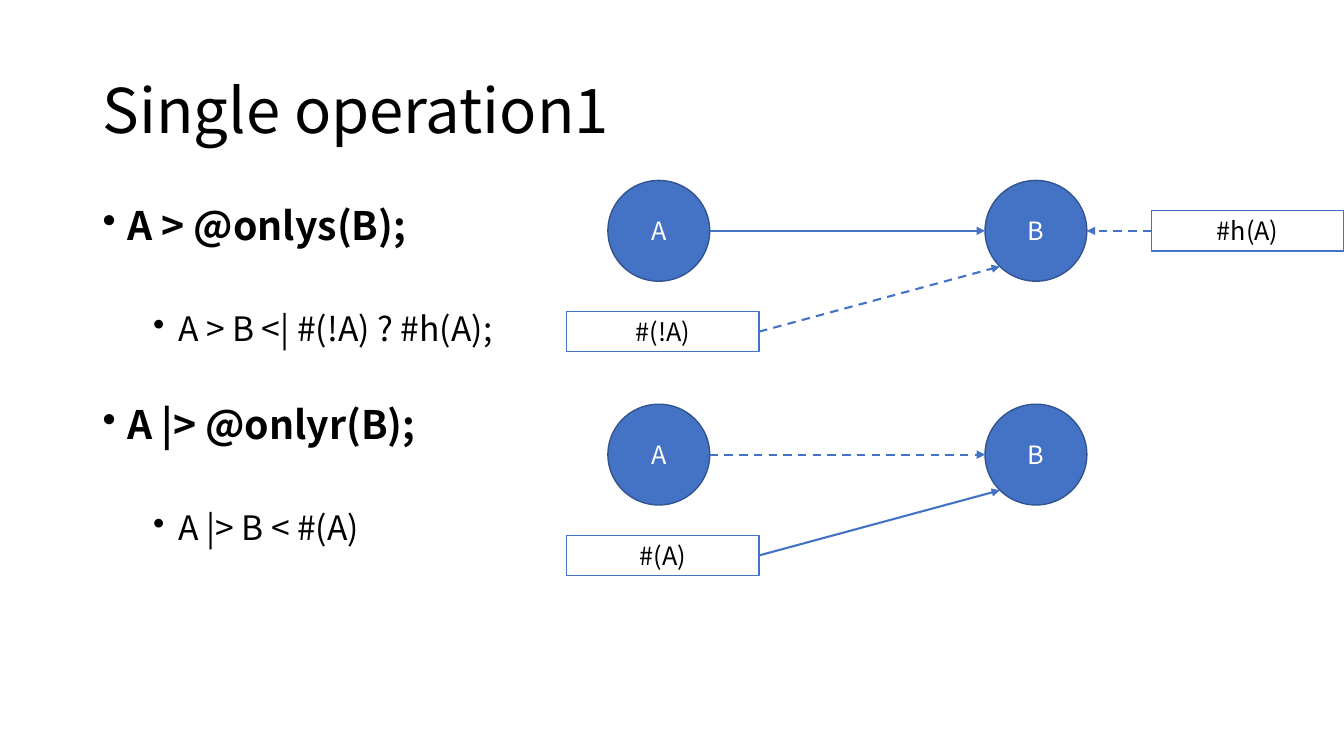
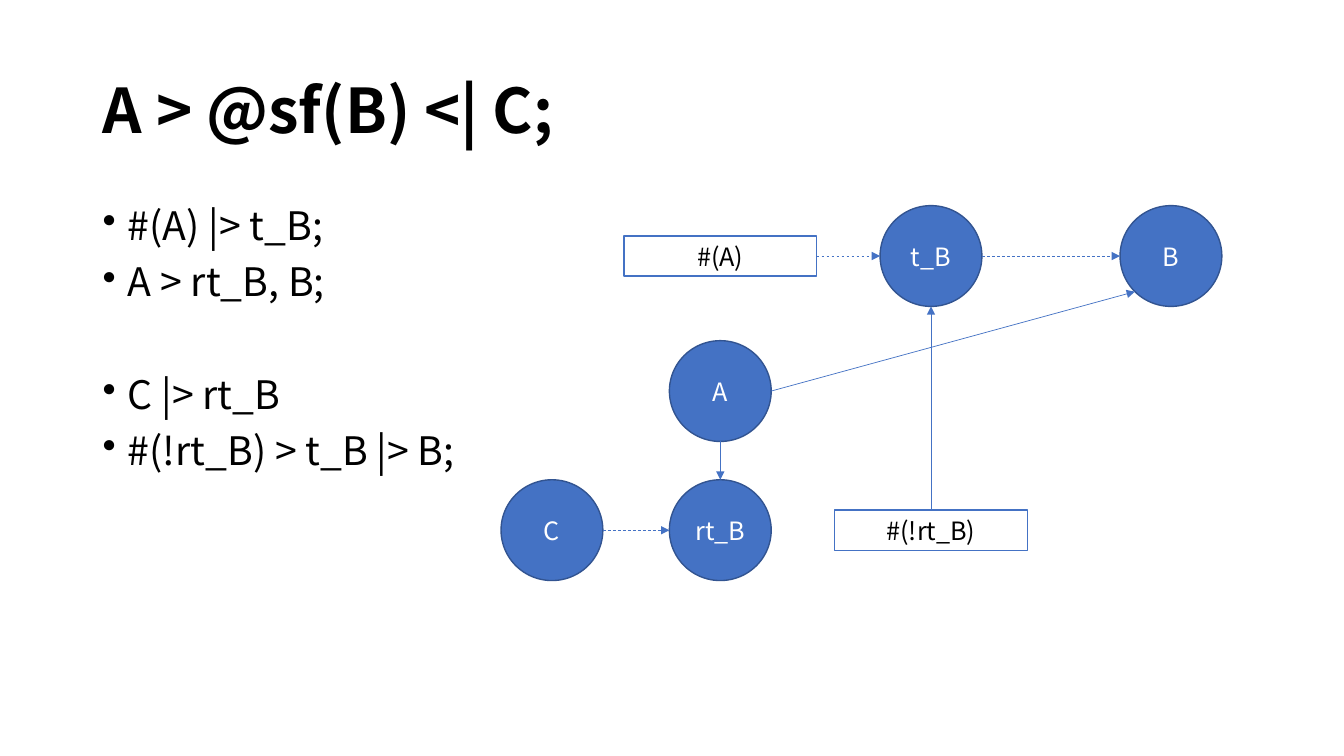
from dataclasses import dataclass

from lxml import etree
from pptx import Presentation
from pptx.dml.color import RGBColor
from pptx.enum.dml import MSO_LINE
from pptx.enum.shapes import MSO_CONNECTOR, MSO_SHAPE
from pptx.enum.text import MSO_ANCHOR, PP_ALIGN
from pptx.oxml.ns import qn
from pptx.util import Inches, Pt

DASH = MSO_LINE.DASH
STRAIGHT = MSO_CONNECTOR.STRAIGHT
ELLIPSE, RECTANGLE = MSO_SHAPE.OVAL, MSO_SHAPE.RECTANGLE
MIDDLE, TOP = MSO_ANCHOR.MIDDLE, MSO_ANCHOR.TOP
LEFT, CENTER = PP_ALIGN.LEFT, PP_ALIGN.CENTER


@dataclass(frozen=True)
class Theme:
    font: str = "Noto Sans CJK KR"
    text: RGBColor = RGBColor(0x00, 0x00, 0x00)
    paper: RGBColor = RGBColor(0xFF, 0xFF, 0xFF)
    accent: RGBColor = RGBColor(0x44, 0x72, 0xC4)
    node_edge: RGBColor = RGBColor(0x32, 0x54, 0x91)
    title_size: int = 44
    body_sizes: tuple = (28, 24)
    node_size: int = 18
    line_spacing: float = 0.9


@dataclass(frozen=True)
class Box:
    left: float
    top: float
    width: float
    height: float

    def point(self, across, down):
        """A point inside this box, given in percent of its size."""
        return self.left + self.width * across / 100, self.top + self.height * down / 100

    def inner(self, left, top, width, height):
        """A box inside this one, given in percent of its size."""
        return Box(*self.point(left, top), self.width * width / 100, self.height * height / 100)

    def emu(self):
        return [Inches(v) for v in (self.left, self.top, self.width, self.height)]


THEME = Theme()
SLIDE = Box(0, 0, 13.33, 7.5)
TITLE_BOX = SLIDE.inner(6.9, 5.33, 86.27, 19.33)
BODY_BOX = SLIDE.inner(6.9, 26.67, 86.27, 63.47)
CIRCLE, TAG = (1.01, 1.0), (1.91, 0.4)

# Points of a node's outline, in percent of its box
EAST, WEST, NORTH, SOUTH = (100, 50), (0, 50), (50, 0), (50, 100)
SOUTHWEST = (14.64, 85.36)


def set_font(para, size, color, bold=False):
    para.font.name = THEME.font
    para.font.size = Pt(size)
    para.font.bold = bold
    para.font.color.rgb = color


def add_text_box(page, box, anchor):
    frame = page.shapes.add_textbox(*box.emu()).text_frame
    frame.word_wrap = True
    frame.vertical_anchor = anchor
    return frame


def add_title(page, text, bold):
    para = add_text_box(page, TITLE_BOX, MIDDLE).paragraphs[0]
    para.text = text
    para.alignment = LEFT
    para.line_spacing = THEME.line_spacing
    set_font(para, THEME.title_size, THEME.text, bold)


def add_bullets(page, items):
    """Items are (text, level, bold, space before in points)."""
    frame = add_text_box(page, BODY_BOX, TOP)
    for index, (text, level, bold, space) in enumerate(items):
        para = frame.paragraphs[0] if index == 0 else frame.add_paragraph()
        para.text = text
        para.level = level
        para.line_spacing = THEME.line_spacing
        para.space_before = Pt(space)
        properties = para._p.get_or_add_pPr()
        properties.set("marL", str(Inches(0.25 + 0.5 * level)))
        properties.set("indent", str(Inches(-0.25)))
        etree.SubElement(properties, qn("a:buChar")).set("char", "•")
        set_font(para, THEME.body_sizes[level], THEME.text, bold)


def add_node(page, center, text):
    """A circle for a name, a bordered tag for a # expression."""
    is_tag = text.startswith("#")
    width, height = TAG if is_tag else CIRCLE
    box = Box(center[0] - width / 2, center[1] - height / 2, width, height)
    node = page.shapes.add_shape(RECTANGLE if is_tag else ELLIPSE, *box.emu())
    node.shadow.inherit = False
    node.fill.solid()
    node.fill.fore_color.rgb = THEME.paper if is_tag else THEME.accent
    node.line.color.rgb = THEME.accent if is_tag else THEME.node_edge
    node.line.width = Pt(1)
    frame = node.text_frame
    frame.word_wrap = False
    frame.vertical_anchor = MIDDLE
    para = frame.paragraphs[0]
    para.text = text
    para.alignment = CENTER
    set_font(para, THEME.node_size, THEME.text if is_tag else THEME.paper)
    return box


def add_arrow(page, start, end, weight, dashed):
    ends = [Inches(v) for v in (*start, *end)]
    arrow = page.shapes.add_connector(STRAIGHT, *ends)
    arrow.line.color.rgb = THEME.accent
    arrow.line.width = Pt(weight)
    if dashed:
        arrow.line.dash_style = DASH
    properties = arrow._element.spPr
    etree.SubElement(properties.find(qn("a:ln")), qn("a:tailEnd")).set("type", "triangle")
    etree.SubElement(properties, qn("a:effectLst"))


def add_diagram(page, box, nodes, links, weight):
    """Nodes map a text to its centre in percent of the box."""
    placed = {text: add_node(page, box.point(*center), text) for text, center in nodes.items()}
    for source, source_side, target, target_side, dashed in links:
        add_arrow(page, placed[source].point(*source_side),
                  placed[target].point(*target_side), weight, dashed)


def add_signal_diagram(page, top, tag, main_dashed, extra=None):
    """A leads to B, with a tag below and possibly one on the right."""
    node_row, tag_row = 29.41, 88.24
    nodes = {"A": (11.87, node_row), "B": (60.38, node_row), tag: (12.39, tag_row)}
    links = [("A", EAST, "B", WEST, main_dashed),
             (tag, EAST, "B", SOUTHWEST, not main_dashed)]
    if extra:
        nodes[extra] = (87.6, node_row)
        links.append((extra, WEST, "B", EAST, True))
    add_diagram(page, SLIDE.inner(42.15, top, 57.85, 22.67), nodes, links, 1.5)


def add_operation_slide(page):
    add_title(page, "Single operation1", False)
    add_bullets(page, [
        ("A > @onlys(B);", 0, True, 0),
        ("A > B <| #(!A) ? #h(A);", 1, False, 45),
        ("A |> @onlyr(B);", 0, True, 41),
        ("A |> B < #(A)", 1, False, 45),
    ])
    add_signal_diagram(page, 23.87, "#(!A)", False, "#h(A)")
    add_signal_diagram(page, 53.47, "#(A)", True)


def add_flow_slide(page):
    add_title(page, "A > @sf(B) <| C;", True)
    add_bullets(page, [
        ("#(A) |> t_B;", 0, False, 0),
        ("A > rt_B, B;", 0, False, 10),
        ("C |> rt_B", 0, False, 50),
        ("#(!rt_B) > t_B |> B;", 0, False, 10),
    ])
    columns = (7.06, 30.42, 59.65, 92.94)
    rows = (13.44, 49.46, 86.56)
    cells = {"#(A)": (1, 0), "t_B": (2, 0), "B": (3, 0), "A": (1, 1),
             "C": (0, 2), "rt_B": (1, 2), "#(!rt_B)": (2, 2)}
    nodes = {text: (columns[column], rows[row]) for text, (column, row) in cells.items()}
    links = [
        ("#(A)", EAST, "t_B", WEST, True),
        ("t_B", EAST, "B", WEST, True),
        ("A", EAST, "B", SOUTHWEST, False),
        ("A", SOUTH, "rt_B", NORTH, False),
        ("C", EAST, "rt_B", WEST, True),
        ("#(!rt_B)", NORTH, "t_B", SOUTH, False),
    ]
    add_diagram(page, SLIDE.inner(37.28, 27.2, 53.63, 49.6), nodes, links, 0.5)


def main():
    deck = Presentation()
    deck.slide_width, deck.slide_height = Inches(SLIDE.width), Inches(SLIDE.height)
    blank = deck.slide_layouts[6]
    for build in (add_operation_slide, add_flow_slide):
        build(deck.slides.add_slide(blank))
    deck.save("out.pptx")


if __name__ == "__main__":
    main()
